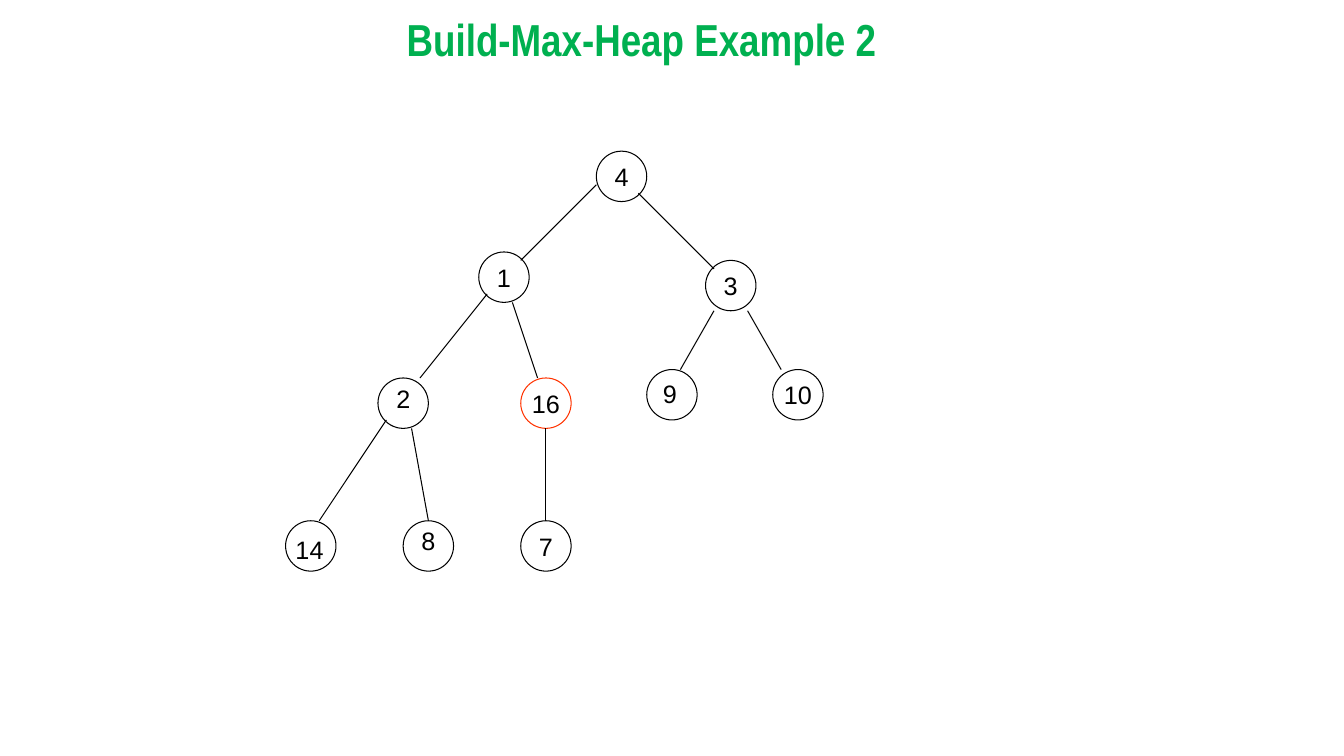
from dataclasses import dataclass
from typing import Any

import lxml.etree
import pptx
import pptx.dml.color
import pptx.enum.shapes
import pptx.enum.text
import pptx.oxml.ns
import pptx.util

CELL = pptx.util.Inches(1) // 12
COLUMNS, ROWS = 160, 90
NODE_SIZE = 6

Align = pptx.enum.text.PP_ALIGN
Anchor = pptx.enum.text.MSO_ANCHOR


@dataclass(frozen=True)
class Theme:
    ink: str = "000000"
    highlight: str = "FF3300"
    heading: str = "00B050"
    body_font: str = "Arial"
    heading_font: str = "Arial Narrow"
    body_size: float = 18
    heading_size: float = 32
    line_width: float = 0.75


THEME = Theme()


@dataclass(frozen=True)
class Node:
    column: float
    row: float
    key: str = ""
    color: str = THEME.ink


@dataclass(frozen=True)
class Label:
    column: float
    row: float
    width: float
    text: str


@dataclass(frozen=True)
class Edge:
    start: tuple[float, float]
    end: tuple[float, float]


NODES = [
    Node(71, 18, "4"),
    Node(84, 31, "3"),
    Node(57, 30, "1"),
    Node(77, 44),
    Node(45, 45),
    Node(62, 45, "16", THEME.highlight),
    Node(92, 44, "10"),
    Node(34, 62),
    Node(48, 62),
    Node(62, 62, "7"),
]
LABELS = [
    Label(46, 45, 4.1, "2"),
    Label(77.75, 44.5, 4.1, "9"),
    Label(34, 63, 5.8, "14"),
    Label(49, 62, 4.1, "8"),
]
EDGES = [
    Edge((71, 22), (62, 31)),
    Edge((76, 23), (85, 32)),
    Edge((58, 35), (50, 45)),
    Edge((61, 36), (64, 45)),
    Edge((85, 37), (81, 44)),
    Edge((89, 37), (93, 44)),
    Edge((46, 50), (38, 62)),
    Edge((49, 51), (51, 62)),
    Edge((65, 51), (65, 62)),
]

BODY_TEXT = {"name": THEME.body_font, "size": pptx.util.Pt(THEME.body_size)}
HEADING_TEXT = {
    "name": THEME.heading_font,
    "size": pptx.util.Pt(THEME.heading_size),
    "bold": True,
}


def cells(*counts: float) -> list[int]:
    return [round(count * CELL) for count in counts]


def apply(target: Any, values: dict[str, Any]) -> None:
    for name, value in values.items():
        setattr(target, name, value)


def paint_line(line: Any, color: str) -> None:
    line.color.rgb = pptx.dml.color.RGBColor.from_string(color)
    line.width = pptx.util.Pt(THEME.line_width)


def write(box: Any, text: str, font: dict[str, Any], color: str,
          frame: dict[str, Any], paragraph: dict[str, Any]) -> None:
    apply(box.text_frame, frame)
    para = box.text_frame.paragraphs[0]
    apply(para, paragraph)
    span = para.add_run()
    span.text = text
    apply(span.font, font)
    span.font.color.rgb = pptx.dml.color.RGBColor.from_string(color)


def draw_node(page: Any, node: Node) -> None:
    circle = page.shapes.add_shape(
        pptx.enum.shapes.MSO_SHAPE.OVAL,
        *cells(node.column, node.row, NODE_SIZE, NODE_SIZE))
    circle.shadow.inherit = False
    circle.fill.background()
    paint_line(circle.line, node.color)
    if node.key:
        write(circle, node.key, BODY_TEXT, THEME.ink,
              {"word_wrap": False, "vertical_anchor": Anchor.MIDDLE},
              {"alignment": Align.CENTER})


def draw_label(page: Any, label: Label) -> None:
    box = page.shapes.add_textbox(
        *cells(label.column, label.row, label.width, 4.8))
    write(box, label.text, BODY_TEXT, THEME.ink,
          {"word_wrap": False,
           "auto_size": pptx.enum.text.MSO_AUTO_SIZE.SHAPE_TO_FIT_TEXT},
          {"alignment": Align.LEFT})


def draw_edge(page: Any, edge: Edge) -> None:
    connector = page.shapes.add_connector(
        pptx.enum.shapes.MSO_CONNECTOR.STRAIGHT,
        *cells(*edge.start, *edge.end))
    paint_line(connector.line, THEME.ink)
    lxml.etree.SubElement(connector._element.spPr,
                          pptx.oxml.ns.qn("a:effectLst"))


def draw_title(page: Any) -> None:
    box = page.shapes.add_textbox(*cells(-3, 2.6, COLUMNS, 10))
    write(box, "Build-Max-Heap Example 2 ", HEADING_TEXT, THEME.heading,
          {"word_wrap": True, "vertical_anchor": Anchor.TOP},
          {"alignment": Align.CENTER, "line_spacing": 0.7})


def main() -> None:
    deck = pptx.Presentation()
    deck.slide_width, deck.slide_height = cells(COLUMNS, ROWS)
    page = deck.slides.add_slide(deck.slide_layouts[6])
    for node in NODES:
        draw_node(page, node)
    for label in LABELS:
        draw_label(page, label)
    for edge in EDGES:
        draw_edge(page, edge)
    draw_title(page)
    deck.save("out.pptx")


if __name__ == "__main__":
    main()
